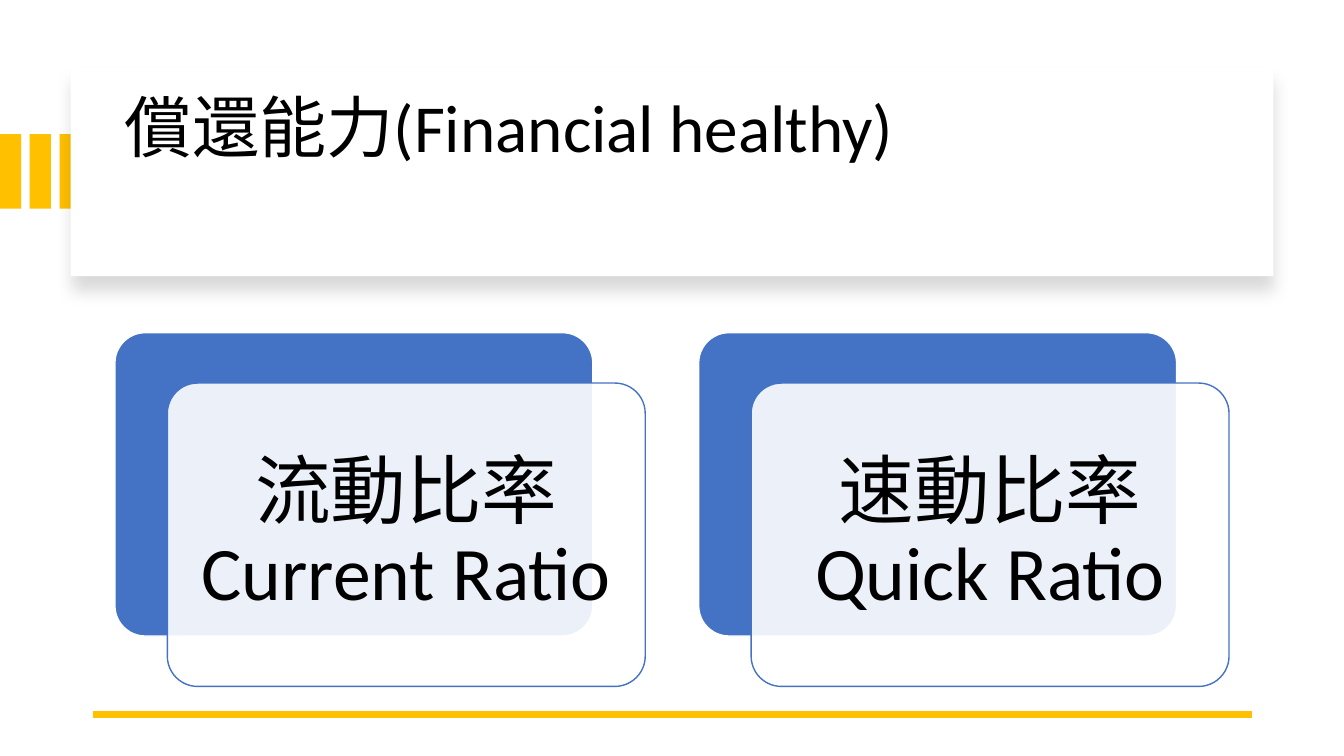
import lxml.etree
import pptx
import pptx.dml.color
import pptx.enum.shapes
import pptx.enum.text
import pptx.oxml.ns
import pptx.util

WHITE = pptx.dml.color.RGBColor(0xFF, 0xFF, 0xFF)
BLACK = pptx.dml.color.RGBColor(0x00, 0x00, 0x00)
GOLD = pptx.dml.color.RGBColor(0xFF, 0xC0, 0x00)
BLUE = pptx.dml.color.RGBColor(0x44, 0x72, 0xC4)

Preset = pptx.enum.shapes.MSO_SHAPE
Align = pptx.enum.text.PP_ALIGN
Anchor = pptx.enum.text.MSO_ANCHOR


def add_xml(parent, tag, **attributes):
    return lxml.etree.SubElement(
        parent, pptx.oxml.ns.qn(tag), {name: str(value) for name, value in attributes.items()})


class RatioSlide:
    """Draws on a grid of ten columns and ten rows to the inch."""

    FONT = "Calibri"
    CELL = pptx.util.Inches(0.1)

    def __init__(self, presentation):
        self.slide = presentation.slides.add_slide(presentation.slide_layouts[6])

    def cells(self, *counts):
        return [round(count * self.CELL) for count in counts]

    def group(self):
        return self.slide.shapes.add_group_shape().shapes

    def box(self, shapes, place, fill, line=None, preset=Preset.RECTANGLE, opacity=100):
        shape = shapes.add_shape(preset, *self.cells(*place))
        shape.shadow.inherit = False
        shape.fill.solid()
        shape.fill.fore_color.rgb = fill
        if opacity < 100:
            color = shape._element.spPr.find(".//" + pptx.oxml.ns.qn("a:srgbClr"))
            add_xml(color, "a:alpha", val=opacity * 1000)
        if line is None:
            shape.line.fill.background()
        else:
            shape.line.color.rgb = line
            shape.line.width = pptx.util.Pt(1)
        if preset == Preset.ROUNDED_RECTANGLE:
            shape.adjustments[0] = 0.1
        return shape

    def drop_shadow(self, shape):
        effects = shape._element.spPr.find(pptx.oxml.ns.qn("a:effectLst"))
        shadow = add_xml(effects, "a:outerShdw", blurRad=pptx.util.Pt(11),
                         dist=pptx.util.Pt(10), dir=90 * 60000, algn="t", rotWithShape=0)
        add_xml(add_xml(shadow, "a:srgbClr", val=BLACK), "a:alpha", val=15000)

    def text(self, shapes, place, words, size, align, anchor, inset=None, space_after=0):
        text_frame = shapes.add_textbox(*self.cells(*place)).text_frame
        text_frame.word_wrap = True
        text_frame.vertical_anchor = anchor
        if inset is not None:
            text_frame.margin_left = text_frame.margin_right = inset
            text_frame.margin_top = text_frame.margin_bottom = inset
        paragraph = text_frame.paragraphs[0]
        paragraph.text = words
        paragraph.alignment = align
        paragraph.line_spacing = 0.9
        paragraph.space_after = pptx.util.Pt(space_after)
        paragraph.font.name = self.FONT
        paragraph.font.size = pptx.util.Pt(size)
        paragraph.font.color.rgb = BLACK

    def rule(self, start, end, color, width):
        connector = self.slide.shapes.add_connector(
            pptx.enum.shapes.MSO_CONNECTOR.STRAIGHT, *self.cells(*start, *end))
        connector.line.color.rgb = color
        connector.line.width = pptx.util.Pt(width)
        add_xml(connector._element.spPr, "a:effectLst")

    def card(self, shapes, left, top, words):
        """A blue panel with a translucent, captioned panel set off over it."""
        width, height = 47.4, 30.1
        rounded = Preset.ROUNDED_RECTANGLE
        self.box(shapes, (left, top, width, height), BLUE, WHITE, rounded)
        left, top = left + 5.2, top + 5
        self.box(shapes, (left, top, width, height), WHITE, BLUE, rounded, opacity=90)
        margin = 0.9
        self.text(shapes, (left + margin, top + margin, width - 2 * margin, height - 2 * margin),
                  words, 54, Align.CENTER, Anchor.MIDDLE,
                  inset=pptx.util.Inches(0.23), space_after=18.9)


def main():
    presentation = pptx.Presentation()
    presentation.slide_width = pptx.util.Inches(13.33)
    presentation.slide_height = pptx.util.Inches(7.5)
    page = RatioSlide(presentation)

    stripes = page.group()
    for index in range(3):
        page.box(stripes, (index * 2.95, 13.3, 2.1, 7.4), GOLD)

    shapes = page.slide.shapes
    page.drop_shadow(page.box(shapes, (7, 6.7, 119.3, 20.7), WHITE))
    page.text(shapes, (11.4, 8.9, 111.3, 17), "償還能力(Financial healthy)",
              48, Align.LEFT, Anchor.TOP)
    page.rule((124.2, 70.9), (9.2, 70.9), GOLD, 4.5)

    cards = page.group()
    for index, words in enumerate(("流動比率 Current Ratio", "速動比率 Quick Ratio")):
        page.card(cards, 11.4 + index * 57.9, 33, words)

    presentation.save("out.pptx")


if __name__ == "__main__":
    main()
